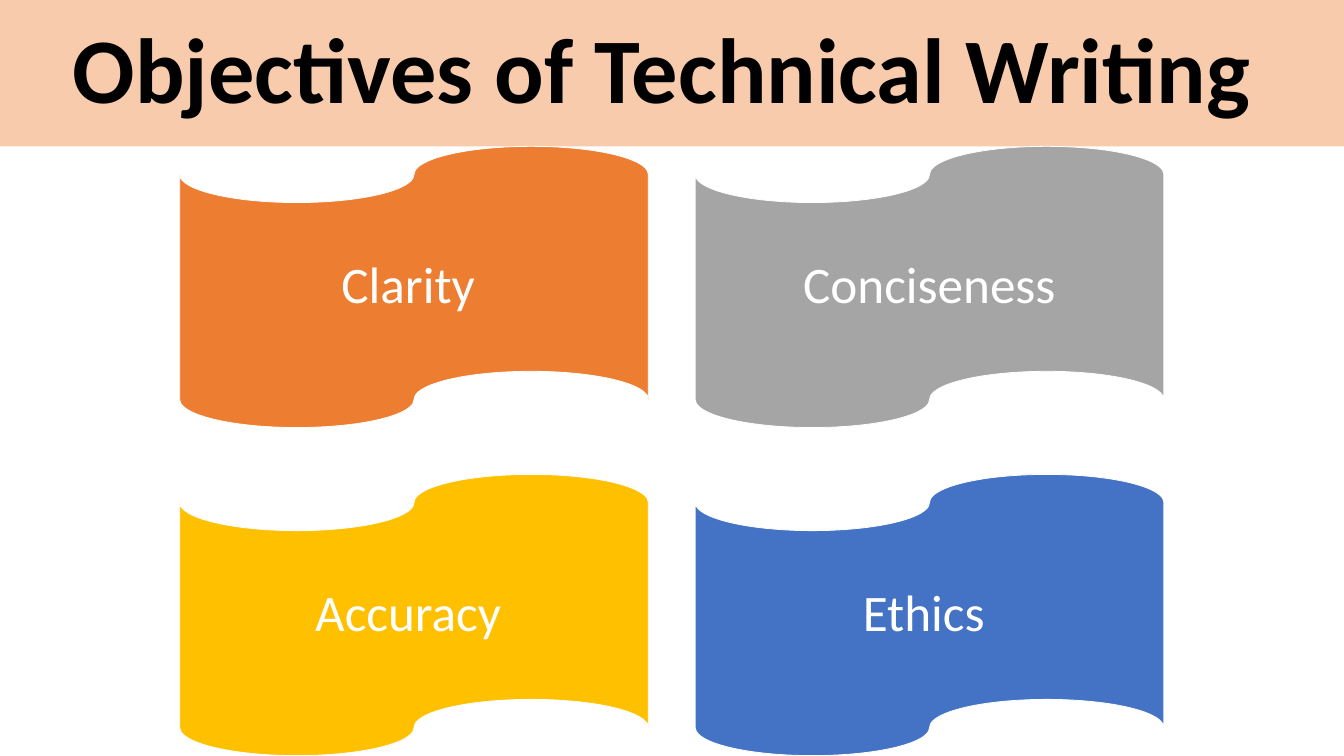
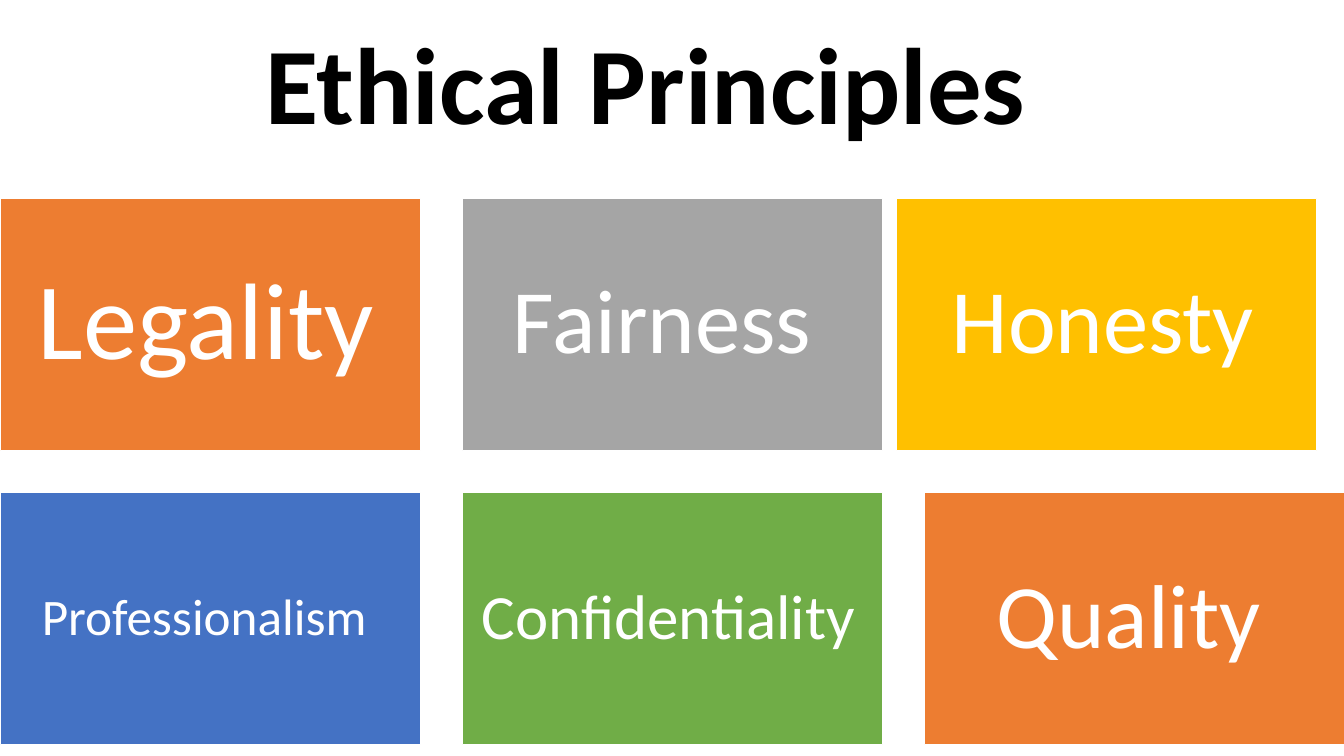
from pptx import Presentation
from pptx.dml.color import RGBColor as RGB
from pptx.enum.shapes import MSO_SHAPE as Shape
from pptx.enum.text import MSO_ANCHOR as Anchor, MSO_AUTO_SIZE as Auto, PP_ALIGN as Align
from pptx.util import Pt

COLORS = {
    "black": "000000",
    "white": "FFFFFF",
    "peach": "F8CBAD",
    "orange": "ED7D31",
    "gray": "A5A5A5",
    "gold": "FFC000",
    "blue": "4472C4",
    "green": "70AD47",
}
FONT = "Calibri"
WIDE, HIGH = 1706.4, 959.76
BAND = 185.8


def color(name):
    """Return the named colour."""
    return RGB.from_string(COLORS[name])


def paint(shape, name):
    """Fill a shape with one solid colour."""
    shape.fill.solid()
    shape.fill.fore_color.rgb = color(name)


def style(run, size, name, bold=False):
    """Format one run of text."""
    font = run.font
    font.name, font.size, font.bold = FONT, Pt(size), bold
    font.color.rgb = color(name)


def write(shape, text, size, name, bold=False):
    """Write one centred line into a shape and return its paragraph."""
    frame = shape.text_frame
    frame.text = text
    frame.word_wrap = True
    frame.auto_size = Auto.NONE
    frame.vertical_anchor = Anchor.MIDDLE
    para = frame.paragraphs[0]
    para.alignment = Align.CENTER
    para.line_spacing = 0.9
    style(para.runs[0], size, name, bold)
    return para


def add_slide(deck, text, size, top, width, fill=None):
    """Add a slide with a bold title band."""
    slide = deck.slides.add_slide(deck.slide_layouts[5])
    title = slide.shapes.title
    title.left, title.top = Pt(0), Pt(top)
    title.width, title.height = Pt(width), Pt(BAND)
    if fill:
        paint(title, fill)
    write(title, text, size, "black", bold=True)
    return slide


def add_tile(slide, kind, left, top, width, text, fill, size, tail=None):
    """Add a coloured tile, with an optional closing space of its own size."""
    tile = slide.shapes.add_shape(kind, Pt(left), Pt(top), Pt(width), Pt(width * 0.6))
    tile.shadow.inherit = False
    paint(tile, fill)
    tile.line.color.rgb = color("white")
    tile.line.width = Pt(1)
    para = write(tile, text, size, "white")
    if tail:
        run = para.add_run()
        run.text = " "
        style(run, tail, "white")
    frame = tile.text_frame
    frame.margin_left = frame.margin_right = Pt(size * 0.3)
    frame.margin_top = frame.margin_bottom = Pt(size * 0.3)


def add_grid(slide, kind, left, top, width, cols, tiles):
    """Lay tiles out in rows, with gaps of a tenth of the tile width."""
    gap = width * 0.1
    for i, (shift, *tile) in enumerate(tiles):
        row, col = divmod(i, cols)
        x = left + col * (width + gap) + shift
        y = top + row * (width * 0.6 + gap)
        add_tile(slide, kind, x, y, width, *tile)


def main():
    """Build and save the deck."""
    deck = Presentation()
    deck.slide_width, deck.slide_height = Pt(WIDE), Pt(HIGH)

    goals = add_slide(deck, "Objectives of Technical Writing ", 117.3, 0, WIDE, "peach")
    add_grid(goals, Shape.FLOWCHART_PUNCHED_TAPE, 228.2, BAND, 595, 2, [
        (0, "Clarity ", "orange", 65),
        (0, "Conciseness", "gray", 65),
        (0, "Accuracy ", "gold", 65),
        (0, "Ethics ", "blue", 65),
    ])

    ethics = add_slide(deck, "Ethical Principles ", 138, 20, 1671)
    add_grid(ethics, Shape.RECTANGLE, 0, 252, 533.5, 3, [
        (0, "Legality", "orange", 138, 44),
        (0, "Fairness ", "gray", 115),
        (-35.3, "Honesty", "gold", 115, 44),
        (0, "Professionalism ", "blue", 65),
        (0, "Confidentiality", "green", 80, 44),
        (0, "Quality", "orange", 115, 65),
    ])
    deck.save("out.pptx")


if __name__ == "__main__":
    main()
